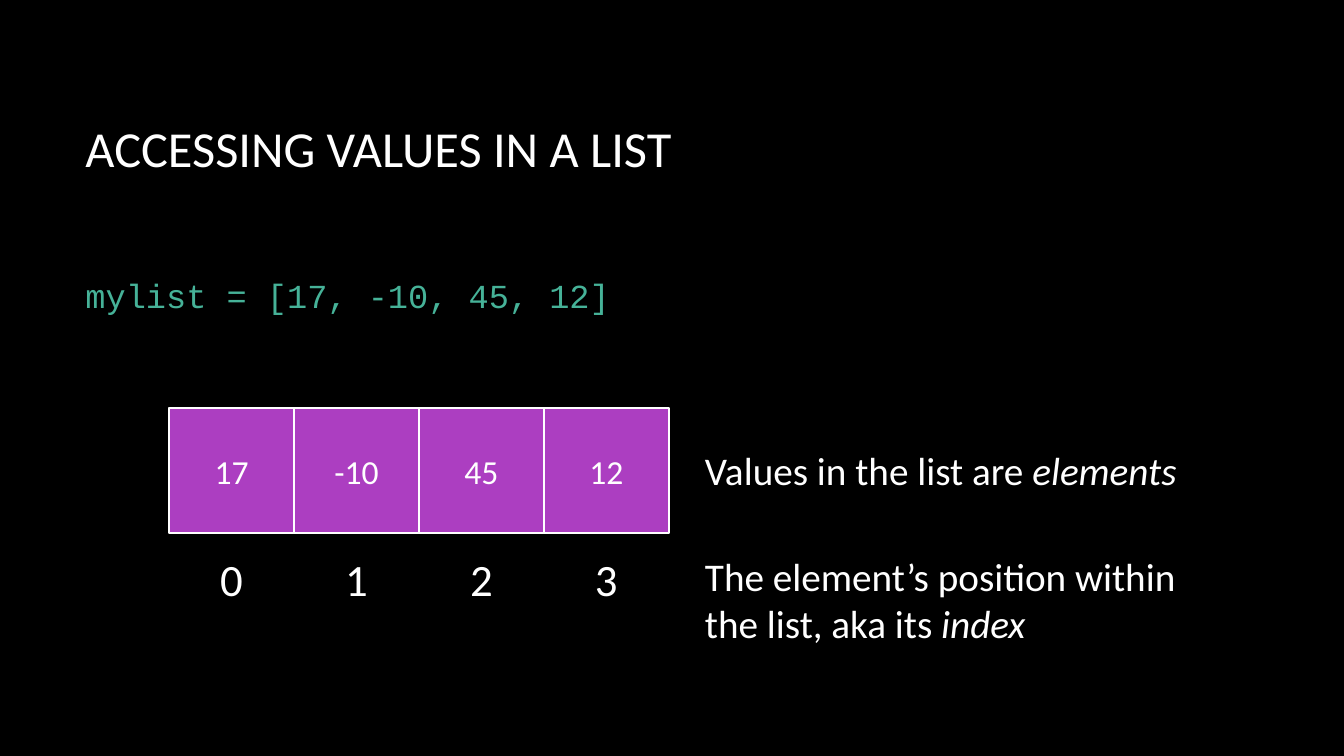
from pptx import Presentation
from pptx.dml.color import RGBColor
from pptx.enum.shapes import MSO_SHAPE as Shape
from pptx.enum.text import MSO_ANCHOR as Anchor, MSO_AUTO_SIZE as AutoSize, PP_ALIGN as Align
from pptx.util import Pt

PX = 9525
BLACK = RGBColor(0x00, 0x00, 0x00)
WHITE = RGBColor(0xFF, 0xFF, 0xFF)
PURPLE = RGBColor(0xAC, 0x3E, 0xC1)
GREEN = RGBColor(0x46, 0xB2, 0x98)
VALUES = (17, -10, 45, 12)


def emu(*lengths):
    return [n * PX for n in lengths]


def write(tf, text, size, emphasis="", font="Calibri", color=WHITE, align=Align.LEFT):
    p = tf.paragraphs[0]
    p.alignment = align
    for part, italic in ((text, False), (emphasis, True)):
        if part:
            r = p.add_run()
            r.text = part
            r.font.color.rgb = color
            look = {"name": font, "size": Pt(size), "italic": italic}
            for name, value in look.items():
                setattr(r.font, name, value)


def add_text(s, box, text, size, anchor=Anchor.TOP, wrap=True, grow=False, **look):
    tf = s.shapes.add_textbox(*emu(*box)).text_frame
    tf.word_wrap = wrap
    tf.vertical_anchor = anchor
    tf.auto_size = AutoSize.SHAPE_TO_FIT_TEXT if grow else AutoSize.NONE
    write(tf, text, size, **look)


def add_cell(s, box, value):
    sp = s.shapes.add_shape(Shape.RECTANGLE, *emu(*box))
    sp.shadow.inherit = False
    sp.fill.solid()
    sp.fill.fore_color.rgb = PURPLE
    sp.line.color.rgb = WHITE
    sp.line.width = Pt(1.5)
    sp.text_frame.vertical_anchor = Anchor.MIDDLE
    write(sp.text_frame, str(value), 24, align=Align.CENTER)


def add_heading(s, x, y, w):
    add_text(s, (x, y, w, 153), "ACCESSING VALUES IN A LIST", 36, anchor=Anchor.MIDDLE)
    add_text(s, (x, y + 161, w, 112), f"mylist = {list(VALUES)}", 24,
             anchor=Anchor.MIDDLE, font="Courier New", color=GREEN)


def add_list_diagram(s, x, y, side):
    index_w = 41
    for i, value in enumerate(VALUES):
        left = x + i * side
        add_cell(s, (left, y, side, side), value)
        add_text(s, (left + (side - index_w) // 2, y + side + 13, index_w, 61),
                 str(i), 32, wrap=False, grow=True, align=Align.CENTER)


def add_captions(s, x, y, w):
    add_text(s, (x, y, 473, 55), "Values in the list are ", 28,
             emphasis="elements", wrap=False, grow=True)
    add_text(s, (x, y + 101, w, 100), "The element’s position within the list, aka its ", 28,
             emphasis="index", grow=True)


def main():
    prs = Presentation()
    prs.slide_width, prs.slide_height = emu(1280, 720)
    s = prs.slides.add_slide(prs.slide_layouts[6])
    s.background.fill.solid()
    s.background.fill.fore_color.rgb = BLACK
    add_heading(s, 72, 64, 1064)
    add_list_diagram(s, 161, 389, 119)
    add_captions(s, 662, 420, 510)
    prs.save("out.pptx")


if __name__ == "__main__":
    main()
